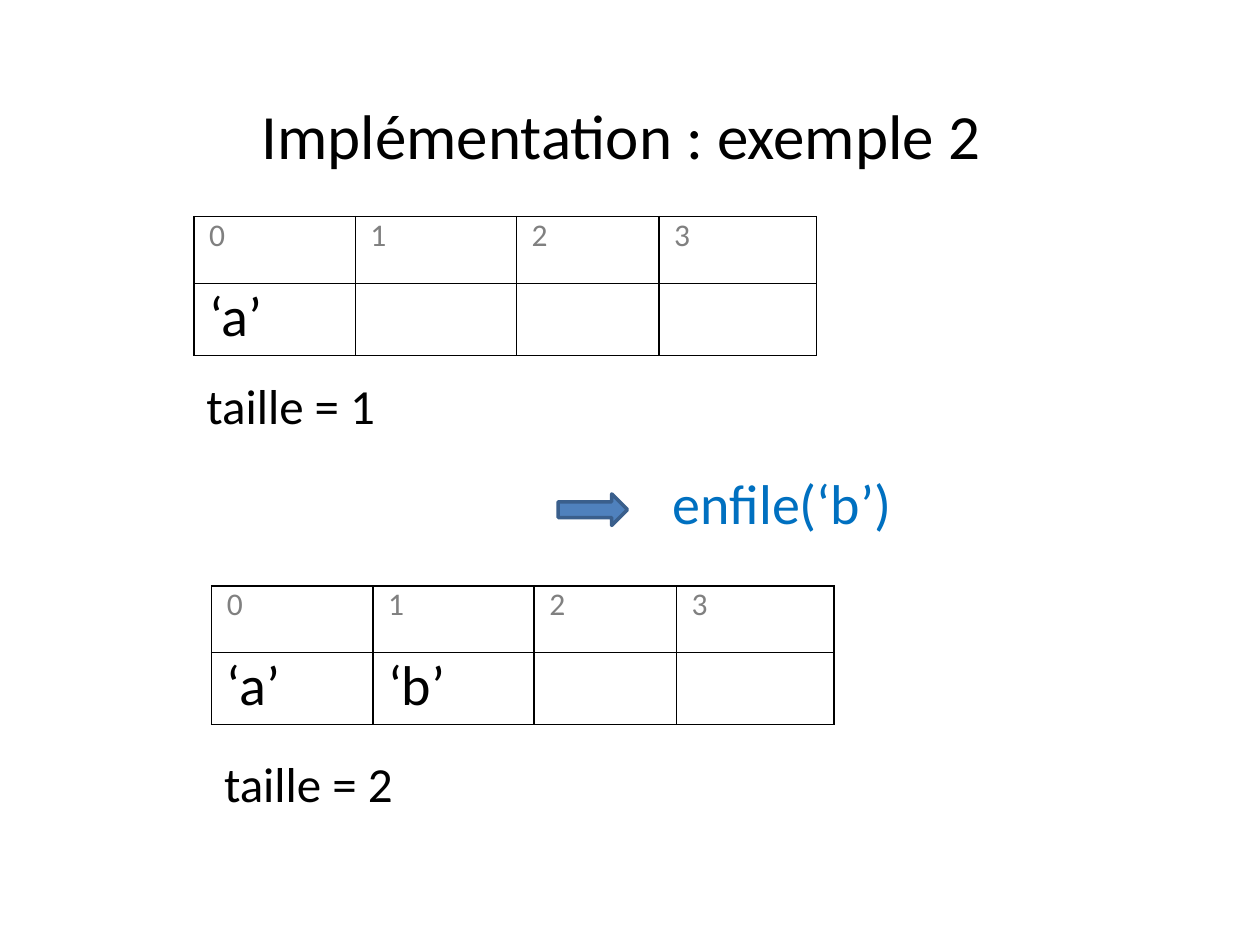
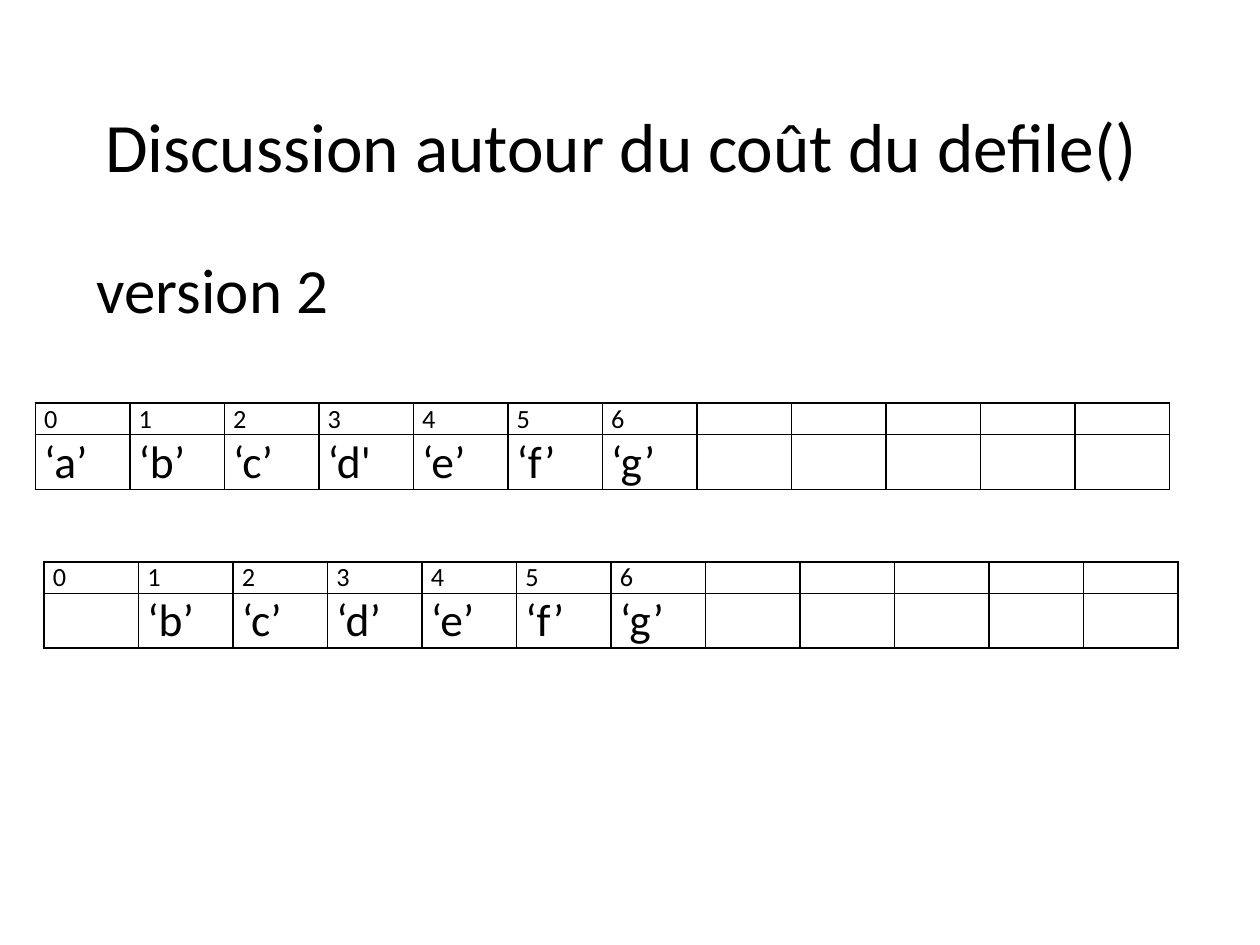
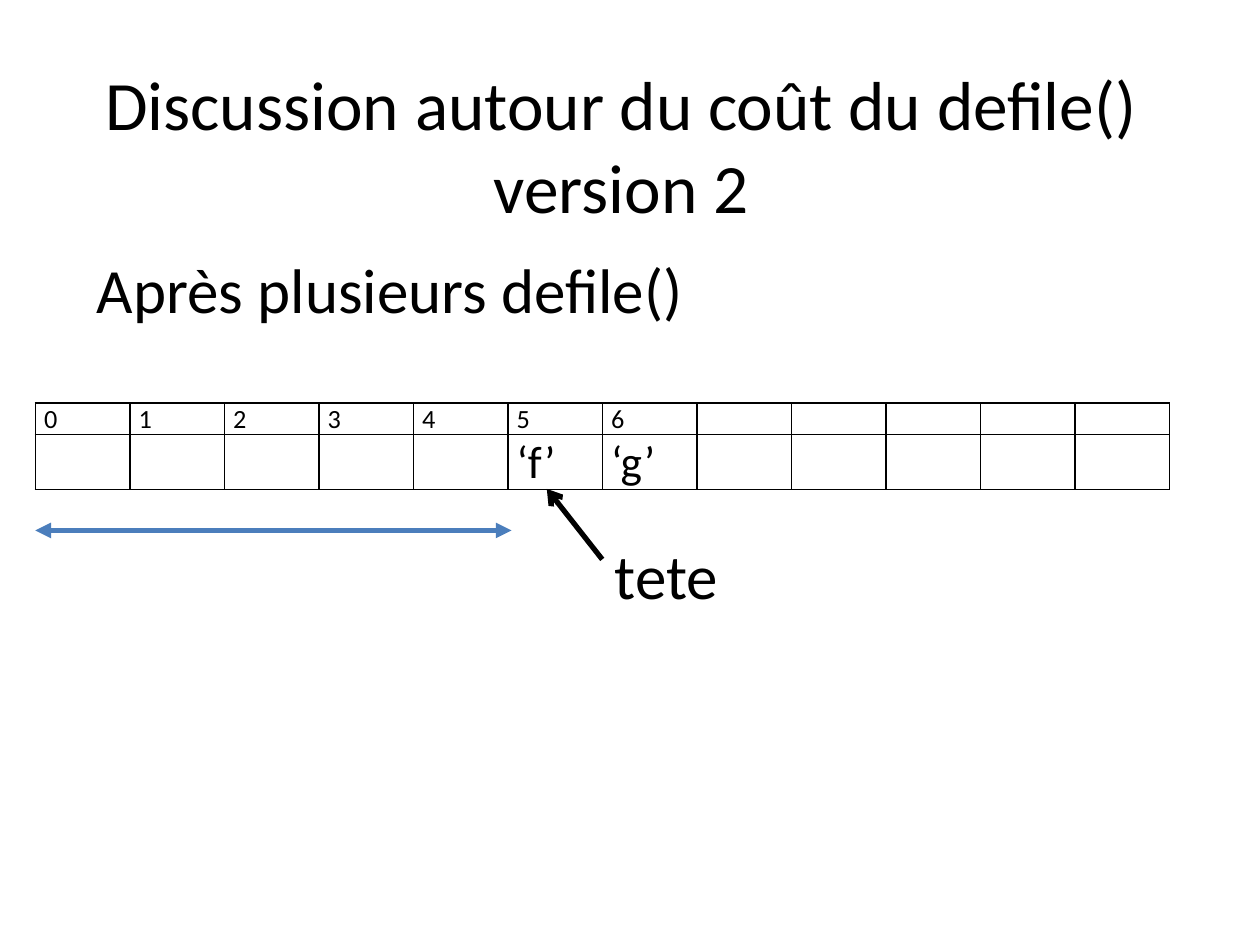
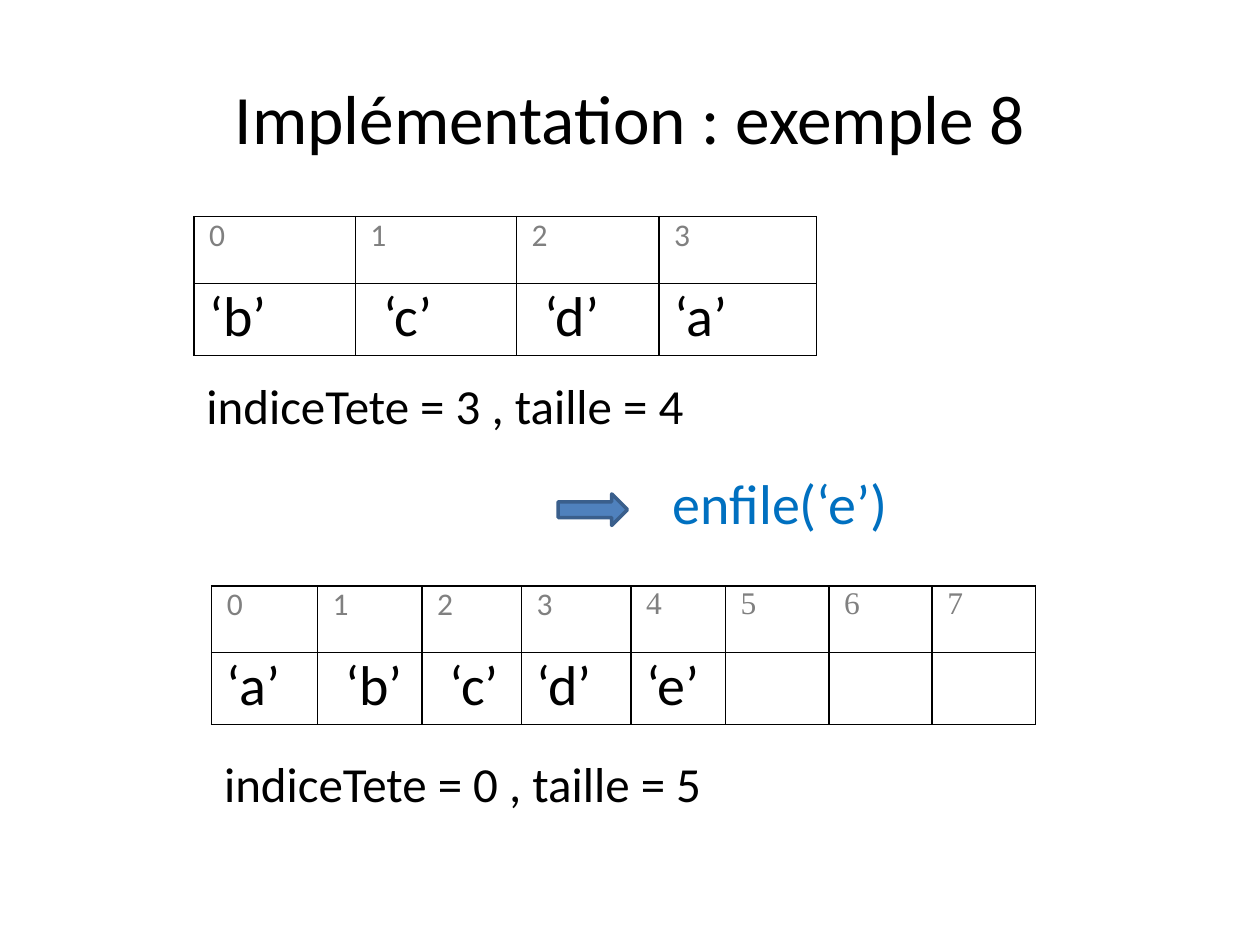
from lxml import etree
from pptx import Presentation
from pptx.dml.color import RGBColor
from pptx.enum.shapes import MSO_CONNECTOR, MSO_SHAPE
from pptx.enum.text import MSO_ANCHOR, MSO_AUTO_SIZE, PP_ALIGN
from pptx.oxml.ns import qn
from pptx.util import Inches, Pt

LINE, ARROW = MSO_CONNECTOR.STRAIGHT, MSO_SHAPE.RIGHT_ARROW
MIDDLE, GROW = MSO_ANCHOR.MIDDLE, MSO_AUTO_SIZE.SHAPE_TO_FIT_TEXT
LEFT, CENTER = PP_ALIGN.LEFT, PP_ALIGN.CENTER
FONT, SERIF = "Calibri", "Times New Roman"
BLACK, GREY, BLUE = "000000", "808080", "0070C0"
FILL, EDGE, SPAN = "4F81BD", "3A5F8C", "4B7EBC"

# Content: a queue before and after one call
FOUR = [1.28, 1.28, 1.13, 1.25]
EIGHT = [0.84, 0.83, 0.79, 0.87, 0.75, 0.82, 0.82, 0.82]
STEPS = {
    1: dict(title="Implémentation : exemple 2", place=(0.43, 0.44, 9, 1.25),
            size=36, call="enfile(‘b’)", states=[
                dict(cols=FOUR, items=["‘a’"], note="taille = 1", wide=1.64),
                dict(cols=FOUR, items=["‘a’", "‘b’"], note="taille = 2",
                     wide=1.64)]),
    4: dict(title="Implémentation : exemple 8", place=(0.5, 0.3, 9, 1.25),
            size=39.6, call="enfile(‘e’)", states=[
                dict(cols=FOUR, items=["‘b’", "‘c’", "‘d’", "‘a’"],
                     note="indiceTete = 3 , taille = 4", wide=4.12,
                     shifted=(1, 2)),
                dict(cols=EIGHT, items=["‘a’", "‘b’", "‘c’", "‘d’", "‘e’"],
                     note="indiceTete = 0 , taille = 5", wide=4.12,
                     shifted=(1, 2))]),
}
SPOTS = [(1.54, 1.72, 2.93), (1.68, 4.65, 5.93)]  # left, table top, note top

# Content: cost of removing from the queue
COST = "Discussion autour du coût du defile()"
COSTS = {
    2: dict(title=COST, label="version 2", wide=2.06, queues=[
        (0.28, 3.2, ["‘a’", "‘b’", "‘c’", "‘d'", "‘e’", "‘f’", "‘g’"]),
        (0.35, 4.46, ["", "‘b’", "‘c’", "‘d’", "‘e’", "‘f’", "‘g’"])]),
    3: dict(title=COST + "\nversion 2", label="Après plusieurs defile()",
            wide=4.9, queues=[
                (0.28, 3.2, ["", "", "", "", "", "‘f’", "‘g’"])]),
}

# Table looks: row heights, text sizes, index colour, side margin
LARGE = dict(rows=(0.53, 0.57), sizes=(18, 32), tint=GREY, pad=0.12)
SMALL = dict(rows=(0.25, 0.43), sizes=(15, 26), tint=BLACK, pad=0.07)
SHIFT = 0.1


def color(code):
    return RGBColor.from_string(code)


def write(frame, text, size=28, tint=BLACK, font=FONT, align=LEFT):
    para = frame.paragraphs[0]
    para.alignment = align
    for n, line in enumerate(text.split("\n")):
        if n:
            para.add_line_break()
        if line:
            run = para.add_run()
            run.text = line
            run.font.size, run.font.name = Pt(size), font
            run.font.color.rgb = color(tint)
    # Keeps an empty cell from stretching its row
    etree.SubElement(para._p, qn("a:endParaRPr"), sz=str(round(size * 100)))


def label(slide, text, x, y, w, h, wrap=False, **style):
    frame = slide.shapes.add_textbox(*map(Inches, (x, y, w, h))).text_frame
    frame.word_wrap, frame.auto_size = wrap, GROW
    write(frame, text, **style)


def head(slide, text, place, size):
    frame = slide.shapes.add_textbox(*map(Inches, place)).text_frame
    frame.word_wrap, frame.vertical_anchor = True, MIDDLE
    write(frame, text, size=size, align=CENTER)


def border(cell):
    props = cell._tc.get_or_add_tcPr()
    for side in ("a:lnL", "a:lnR", "a:lnT", "a:lnB"):
        line = etree.SubElement(props, qn(side), w=str(Pt(1)))
        fill = etree.SubElement(line, qn("a:solidFill"))
        etree.SubElement(fill, qn("a:srgbClr"), val=BLACK)


def grid(slide, x, y, cols, count, items, look, shifted=()):
    """Draw the indexes above the queue's items."""
    heights = look["rows"]
    table = slide.shapes.add_table(
        2, len(cols), *map(Inches, (x, y, sum(cols), sum(heights)))).table
    table.first_row = table.horz_banding = False
    for col, w in zip(table.columns, cols):
        col.width = Inches(w)
    texts = [[str(n) for n in range(count)], items]
    for r, height in enumerate(heights):
        table.rows[r].height = Inches(height)
        for c in range(len(cols)):
            cell = table.cell(r, c)
            indent = SHIFT if r and c in shifted else 0
            cell.margin_left = Inches(look["pad"] + indent)
            cell.margin_right = Inches(look["pad"])
            cell.margin_top = cell.margin_bottom = 0
            border(cell)
            cell.fill.background()
            write(cell.text_frame, texts[r][c] if c < len(texts[r]) else "",
                  size=look["sizes"][r], tint=BLACK if r else look["tint"],
                  font=SERIF if r == 0 and c > 3 and look is LARGE else FONT)


def arrow(slide, start, end, tint, **tips):
    line = slide.shapes.add_connector(LINE, *map(Inches, start + end))
    line.line.color.rgb, line.line.width = color(tint), Pt(3)
    for tip, kind in tips.items():
        etree.SubElement(line.line._get_or_add_ln(), qn("a:" + tip), type=kind)
    etree.SubElement(line._element.spPr, qn("a:effectLst"))


def step(slide, title, place, size, call, states):
    head(slide, title, place, size)
    for (x, top, low), state in zip(SPOTS, states):
        cols = state["cols"]
        grid(slide, x, top, cols, len(cols), state["items"], LARGE,
             state.get("shifted", ()))
        label(slide, state["note"], x, low, state["wide"], 0.57)
    shape = slide.shapes.add_shape(
        ARROW, *map(Inches, (4.43, 3.92, 0.55, 0.25)))
    shape.shadow.inherit = False
    shape.fill.solid()
    shape.fill.fore_color.rgb = color(FILL)
    shape.line.color.rgb, shape.line.width = color(EDGE), Pt(2)
    label(slide, call, 5.24, 3.67, 1.97, 0.64, wrap=True, size=32, tint=BLUE)


def cost(slide, title, label_text, wide, queues):
    head(slide, title, (0.43, 0.44, 9, 1.41), 39.6)
    label(slide, label_text, 0.67, 1.94, wide, 0.71, size=36)
    for x, y, items in queues:
        grid(slide, x, y, [0.75] * 12, 7, items, SMALL)


def main():
    deck = Presentation()
    deck.slide_width, deck.slide_height = Inches(10), Inches(7.5)
    for n in range(1, 5):
        slide = deck.slides.add_slide(deck.slide_layouts[6])
        if n in STEPS:
            step(slide, **STEPS[n])
        else:
            part = COSTS[n]
            cost(slide, part["title"], part["label"], part["wide"],
                 part["queues"])
        if n == 3:
            # Head of the queue and the freed cells
            label(slide, "tete", 4.78, 4.21, 1.03, 0.71, size=36)
            arrow(slide, (4.78, 4.44), (4.34, 3.88), BLACK, tailEnd="arrow")
            arrow(slide, (0.28, 4.21), (4.06, 4.21), SPAN,
                  headEnd="triangle", tailEnd="triangle")
    deck.save("out.pptx")


if __name__ == "__main__":
    main()
